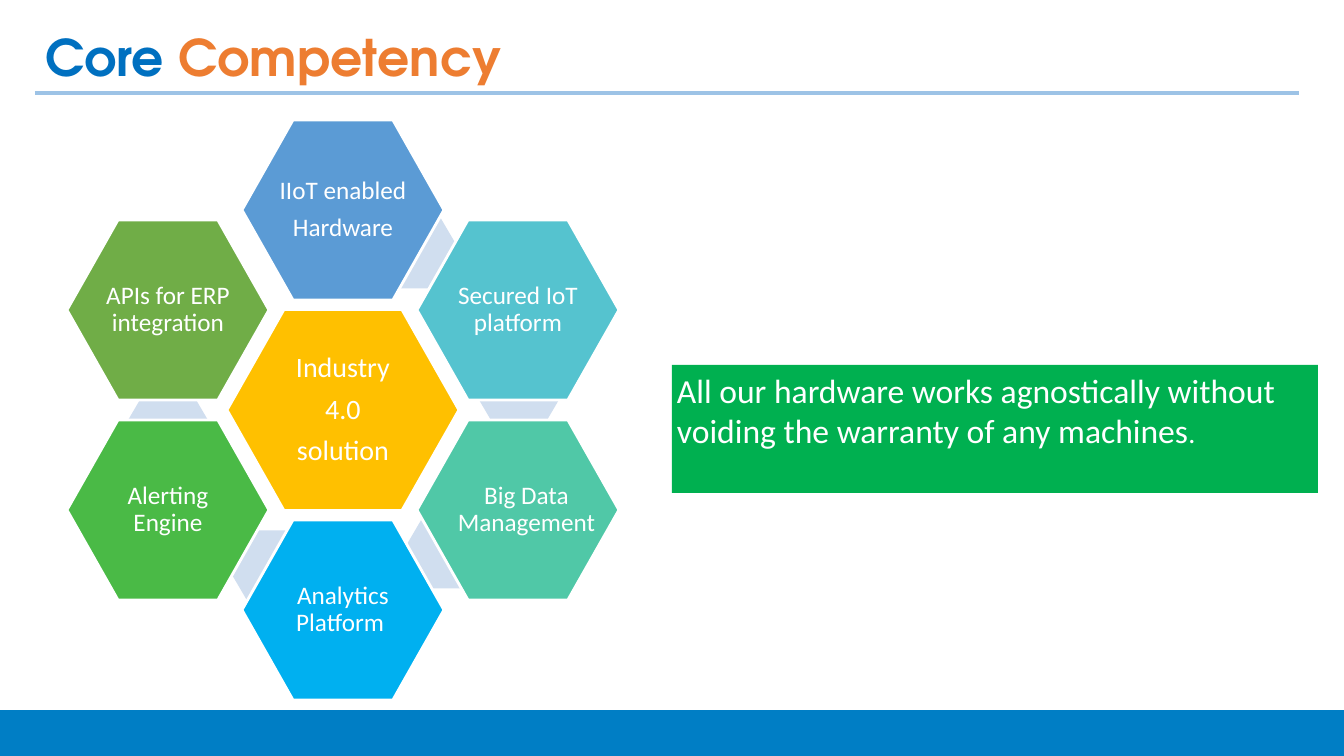
from pptx import Presentation
from pptx.dml.color import RGBColor
from pptx.enum.shapes import MSO_CONNECTOR as Connector, MSO_SHAPE as Shape
from pptx.enum.text import MSO_ANCHOR as Anchor, MSO_AUTO_SIZE as AutoSize, PP_ALIGN as Align
from pptx.oxml.ns import qn
from pptx.util import Pt
from lxml import etree

PX = 914400 / 100.8  # EMU in one px
TITLE_FONT, BODY_FONT = "TeX Gyre Adventor", "Calibri"

WHITE = RGBColor(0xFF, 0xFF, 0xFF)
TITLE_BLUE = RGBColor(0x00, 0x70, 0xC0)
ORANGE = RGBColor(0xED, 0x7D, 0x31)
RULE_BLUE = RGBColor(0x9D, 0xC3, 0xE6)
LINK_BLUE = RGBColor(0xD0, 0xDE, 0xEF)
BANNER_GREEN = RGBColor(0x00, 0xB0, 0x50)
FOOTER_BLUE = RGBColor(0x00, 0x7E, 0xC5)
AMBER = RGBColor(0xFF, 0xC0, 0x00)
BLUE = RGBColor(0x5B, 0x9B, 0xD5)
CYAN = RGBColor(0x55, 0xC3, 0xCF)
TEAL = RGBColor(0x50, 0xC8, 0xA7)
SKY = RGBColor(0x00, 0xB0, 0xF0)
GREEN = RGBColor(0x4A, 0xBA, 0x46)
OLIVE = RGBColor(0x70, 0xAD, 0x47)

# Honeycomb geometry: centre, column and row steps, (width, height, corner inset)
CENTER_X, CENTER_Y = 343, 410
COLUMN_STEP, ROW_STEP = 175, 100
CORE_SIZE, CELL_SIZE, LINK_SIZE = (232, 201, 57), (202, 180, 51), (88, 75, 22)

# Column, row, colour, lines, right text inset, centre of the link behind
CELLS = [
    (0, -2, BLUE, ["IIoT enabled", "Hardware"], 36, (416, 251)),
    (1, -1, CYAN, ["Secured IoT platform"], 36, (519, 393)),
    (1, 1, TEAL, ["Big Data Management"], 19, (447, 551)),
    (0, 2, SKY, ["Analytics Platform "], 36, (272, 568)),
    (-1, 1, GREEN, ["Alerting Engine"], 36, (168, 427)),
    (-1, -1, OLIVE, ["APIs for ERP integration"], 36, None),
]


def emu(*lengths):
    return [round(length * PX) for length in lengths]


def set_frame(frame, anchor, left, top, right, bottom):
    margins = dict(zip(("margin_left", "margin_top", "margin_right", "margin_bottom"),
                       emu(left, top, right, bottom)))
    settings = {"word_wrap": True, "auto_size": AutoSize.NONE, "vertical_anchor": anchor}
    for name, value in (settings | margins).items():
        setattr(frame, name, value)


def add_run(paragraph, text, size, color, font=BODY_FONT, bold=False):
    run = paragraph.add_run()
    run.text = text
    run.font.color.rgb = color
    for name, value in {"name": font, "size": Pt(size), "bold": bold}.items():
        setattr(run.font, name, value)


def paint(shape, fill, outline=None):
    shape.shadow.inherit = False
    shape.fill.solid()
    shape.fill.fore_color.rgb = fill
    if outline is None:
        shape.line.fill.background()
    else:
        shape.line.color.rgb = outline
        shape.line.width = Pt(2)


def add_hexagon(slide, center_x, center_y, size, fill, outline=None):
    width, height, inset = size
    left, top = center_x - width / 2, center_y - height / 2
    right, bottom = left + width, top + height
    start, *corners = [tuple(emu(x, y)) for x, y in (
        (left, center_y), (left + inset, top), (right - inset, top),
        (right, center_y), (right - inset, bottom), (left + inset, bottom))]
    builder = slide.shapes.build_freeform(*start)
    builder.add_line_segments(corners, close=True)
    shape = builder.convert_to_shape()
    paint(shape, fill, outline)
    return shape


def add_label(shape, lines, size, space, left, right):
    frame = shape.text_frame
    set_frame(frame, Anchor.MIDDLE, left, 2, right, 2)
    for index, line in enumerate(lines):
        paragraph = frame.add_paragraph() if index else frame.paragraphs[0]
        layout = {"alignment": Align.CENTER, "line_spacing": 0.9, "space_before": Pt(space)}
        for name, value in layout.items():
            setattr(paragraph, name, value)
        add_run(paragraph, line, size, WHITE)


def add_box(slide, left, top, width, height, fill):
    shape = slide.shapes.add_shape(Shape.RECTANGLE, *emu(left, top, width, height))
    paint(shape, fill)
    return shape


def add_rule(slide, left, right, y):
    rule = slide.shapes.add_connector(Connector.STRAIGHT, *emu(left, y, right, y))
    rule.line.color.rgb = RULE_BLUE
    rule.line.width = Pt(3)
    etree.SubElement(rule._element.spPr, qn("a:effectLst"))


def add_title(slide):
    title = slide.shapes.title
    title.left, title.top, title.width, title.height = emu(35, 15, 703, 82)
    set_frame(title.text_frame, Anchor.MIDDLE, 10, 10, 10, 10)
    paragraph = title.text_frame.paragraphs[0]
    paragraph.alignment = Align.LEFT
    for text, color in (("Core ", TITLE_BLUE), ("Competency", ORANGE)):
        add_run(paragraph, text, 36, color, TITLE_FONT, True)


def add_honeycomb(slide):
    core = add_hexagon(slide, CENTER_X, CENTER_Y, CORE_SIZE, AMBER, WHITE)
    add_label(core, ["Industry", "4.0", "solution"], 20, 8, 42, 42)
    for column, row, color, lines, right, link in CELLS:
        if link:
            add_hexagon(slide, *link, LINK_SIZE, LINK_BLUE)
        cell = add_hexagon(slide, CENTER_X + column * COLUMN_STEP,
                           CENTER_Y + row * ROW_STEP, CELL_SIZE, color, WHITE)
        add_label(cell, lines, 18, 7, 36, right)


def add_banner(slide):
    banner = add_box(slide, 672, 365, 646, 128, BANNER_GREEN)
    set_frame(banner.text_frame, Anchor.TOP, 5, 5, 5, 5)
    paragraph = banner.text_frame.paragraphs[0]
    paragraph.alignment = Align.LEFT
    add_run(paragraph, "All our hardware works agnostically without voiding "
                       "the warranty of any machines", 24, WHITE)
    add_run(paragraph, ".", 20, WHITE)


def main():
    presentation = Presentation()
    presentation.slide_width, presentation.slide_height = emu(1344, 756)
    slide = presentation.slides.add_slide(presentation.slide_layouts[5])

    # Heading
    add_title(slide)
    add_rule(slide, 35, 1299, 93)

    # Competencies and message
    add_honeycomb(slide)
    add_banner(slide)

    # Footer band
    add_box(slide, 0, 710, 1344, 46, FOOTER_BLUE)

    presentation.save("out.pptx")


if __name__ == "__main__":
    main()
